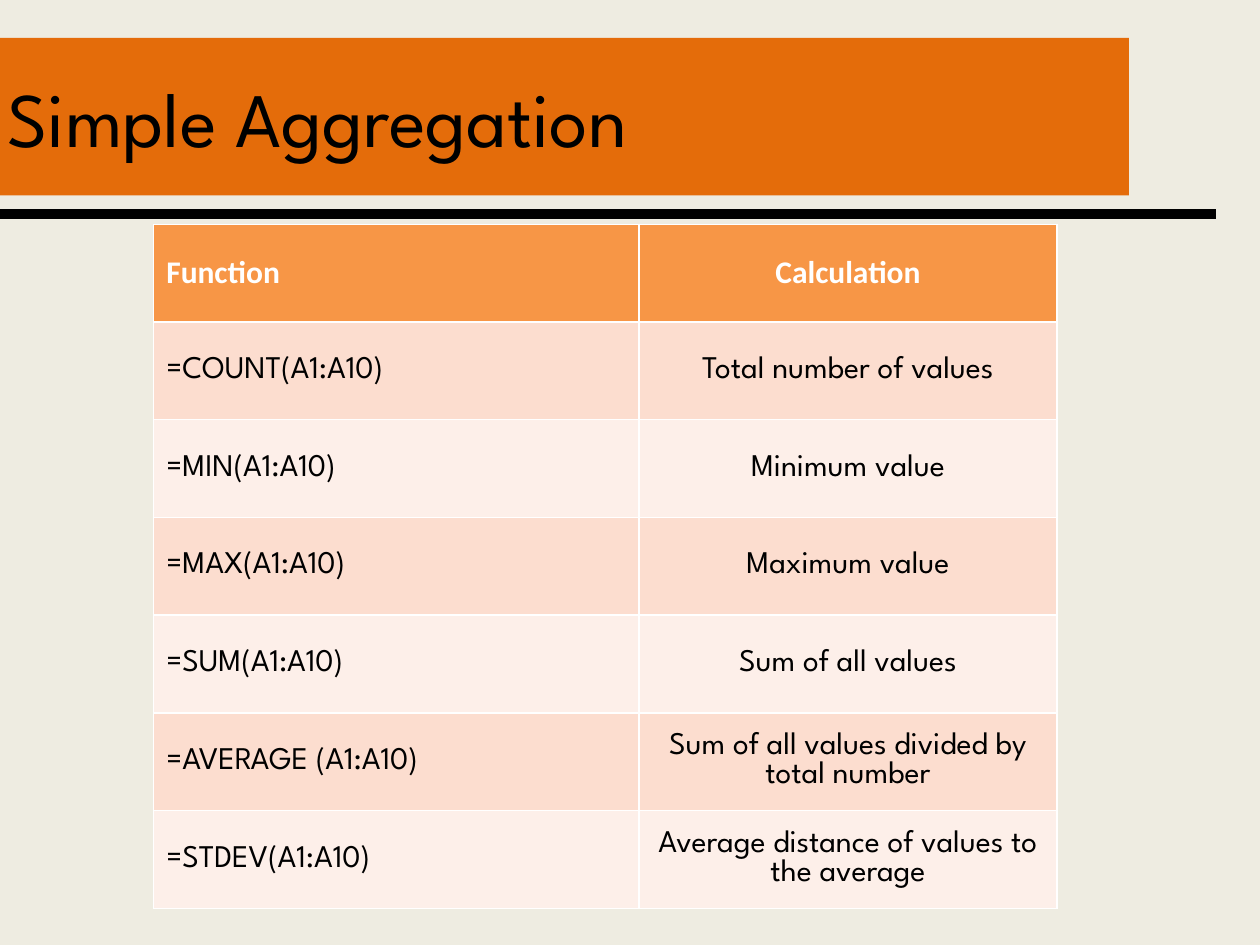
from lxml.etree import SubElement
from pptx import Presentation
from pptx.dml.color import RGBColor
from pptx.enum.shapes import MSO_CONNECTOR, MSO_SHAPE
from pptx.enum.text import MSO_ANCHOR, PP_ALIGN
from pptx.oxml.ns import qn
from pptx.util import Inches, Pt

TITLE = "Simple Aggregation"
ROWS = [
    ("Function", "Calculation"),
    ("=COUNT(A1:A10)", "Total number of values"),
    ("=MIN(A1:A10)", "Minimum value"),
    ("=MAX(A1:A10)", "Maximum value"),
    ("=SUM(A1:A10)", "Sum of all values"),
    ("=AVERAGE (A1:A10)", "Sum of all values divided by total number"),
    ("=STDEV(A1:A10)", "Average distance of values to the average"),
]
COLORS = {
    "background": "EEECE1",
    "banner": "E46C0A",
    "header": "F79646",
    "odd_row": "FCDDCF",
    "even_row": "FDEFE9",
    "black": "000000",
    "white": "FFFFFF",
}
BODY_FONT, HEADER_FONT = "League Spartan", "Calibri"
COLUMN_WIDTHS = (3.85, 3.32)
COLUMN_ALIGNMENTS = (PP_ALIGN.LEFT, PP_ALIGN.CENTER)
TABLE_HEIGHT = 5.43


def color(name):
    return RGBColor.from_string(COLORS[name])


def paint(fill, name):
    fill.solid()
    fill.fore_color.rgb = color(name)


def write(text_frame, text, size, font, color_name, alignment, bold=False):
    paragraph = text_frame.paragraphs[0]
    paragraph.alignment = alignment
    run = paragraph.add_run()
    run.text = text
    run.font.size = Pt(size)
    run.font.name = font
    run.font.bold = bold
    run.font.color.rgb = color(color_name)


def add_rule(slide):
    rule = slide.shapes.add_connector(
        MSO_CONNECTOR.STRAIGHT, Inches(0), Inches(1.7), Inches(9.65), Inches(1.7))
    rule.line.width = Pt(6)
    rule.line.color.rgb = color("black")
    SubElement(rule._element.spPr, qn("a:effectLst"))


def add_banner(slide):
    banner = slide.shapes.add_shape(
        MSO_SHAPE.SNIP_1_RECTANGLE, Inches(-0.04), Inches(0.3), Inches(9), Inches(1.25))
    banner.adjustments[0] = 0
    banner.shadow.inherit = False
    banner.line.fill.background()
    paint(banner.fill, "banner")
    banner.text_frame.word_wrap = True
    banner.text_frame.vertical_anchor = MSO_ANCHOR.MIDDLE
    write(banner.text_frame, TITLE, 44, BODY_FONT, "black", PP_ALIGN.LEFT)


def add_function_table(slide):
    table = slide.shapes.add_table(
        len(ROWS), len(COLUMN_WIDTHS), Inches(1.22), Inches(1.78),
        Inches(sum(COLUMN_WIDTHS)), Inches(TABLE_HEIGHT)).table
    for column, width in zip(table.columns, COLUMN_WIDTHS):
        column.width = Inches(width)
    for row_index, texts in enumerate(ROWS):
        is_header = row_index == 0
        table.rows[row_index].height = Inches(TABLE_HEIGHT / len(ROWS))
        band = "header" if is_header else "odd_row" if row_index % 2 else "even_row"
        font = HEADER_FONT if is_header else BODY_FONT
        text_color = "white" if is_header else "black"
        for column_index, text in enumerate(texts):
            cell = table.cell(row_index, column_index)
            cell.vertical_anchor = MSO_ANCHOR.MIDDLE
            paint(cell.fill, band)
            write(cell.text_frame, text, 18, font, text_color,
                  COLUMN_ALIGNMENTS[column_index], is_header)


def main():
    presentation = Presentation()
    presentation.slide_width = Inches(10)
    presentation.slide_height = Inches(7.5)
    slide = presentation.slides.add_slide(presentation.slide_layouts[6])
    paint(slide.background.fill, "background")
    add_rule(slide)
    add_banner(slide)
    add_function_table(slide)
    presentation.save("out.pptx")


if __name__ == "__main__":
    main()
